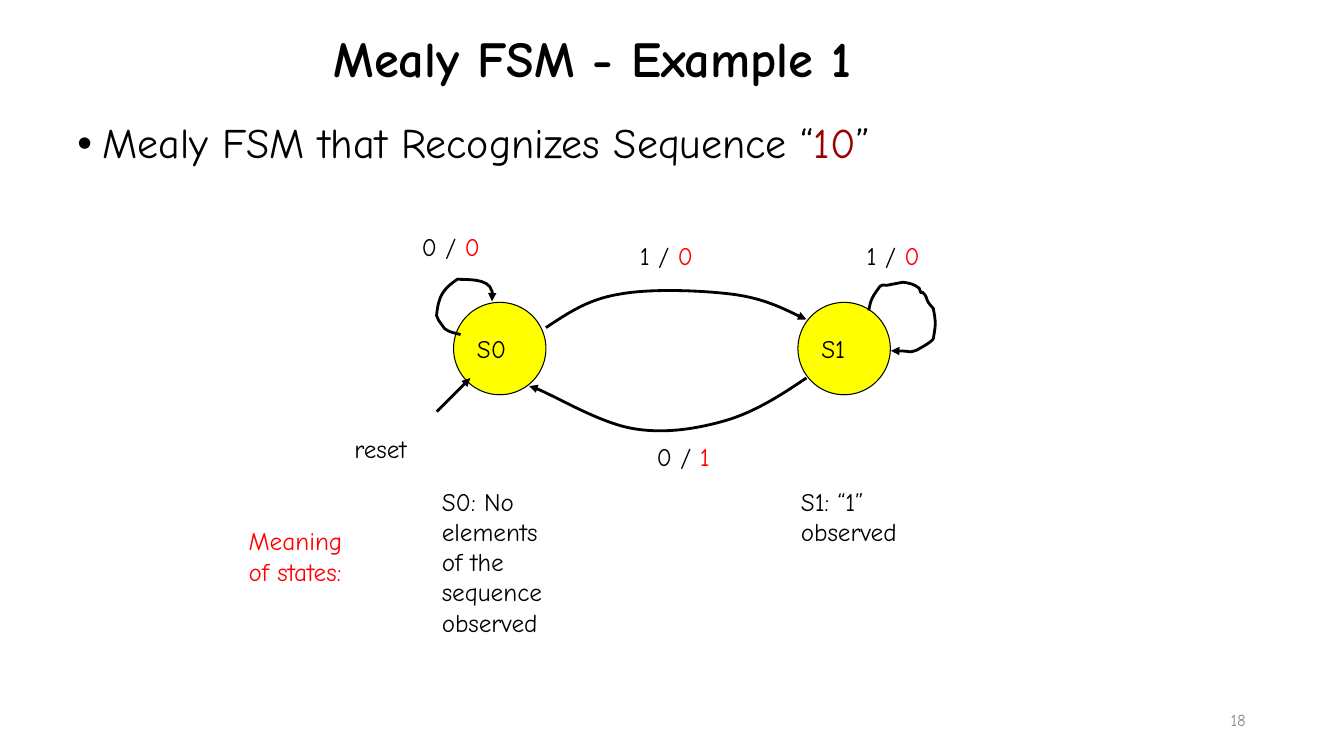
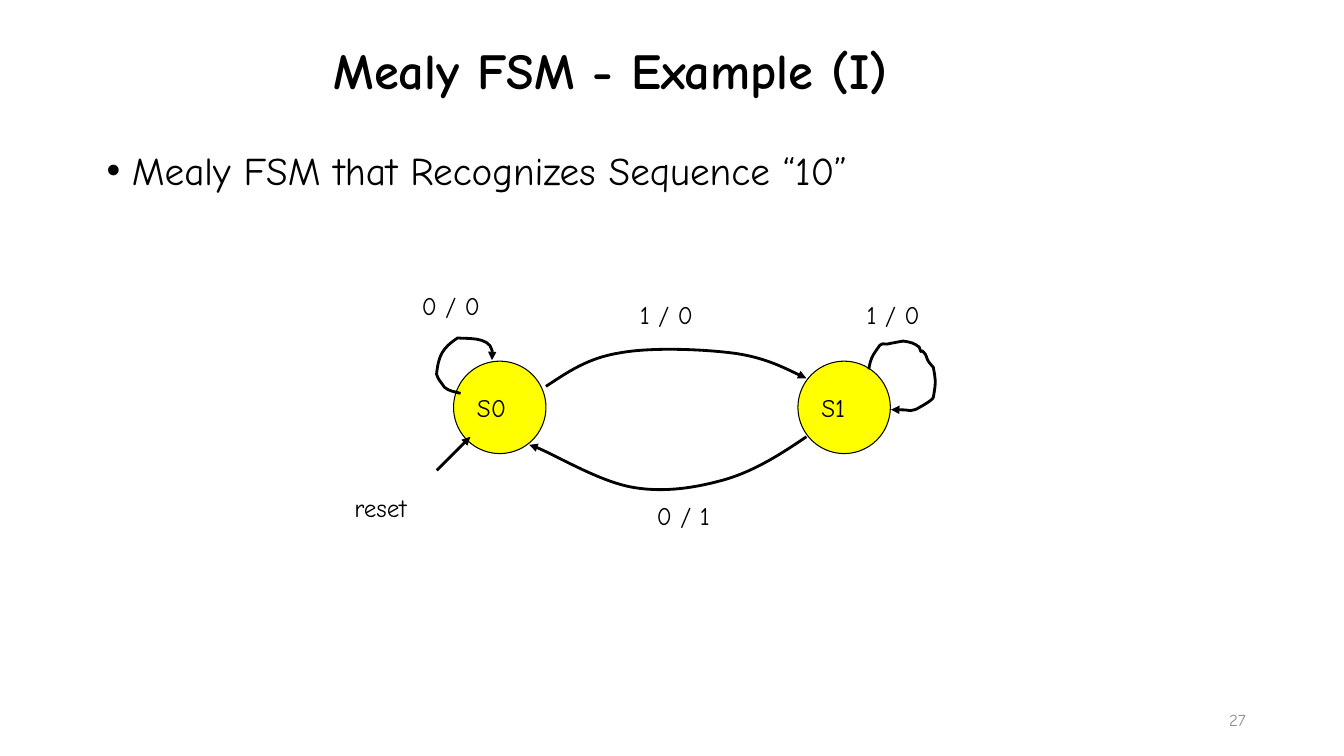
from dataclasses import dataclass

from lxml import etree
from pptx import Presentation
from pptx import util as u
from pptx.dml import color
from pptx.enum import shapes, text
from pptx.oxml import ns

FONT = "Comic Neue"
BLACK, RED, MAROON, YELLOW, GREY = "000000", "FF0000", "990000", "FFFF00", "8C8C8C"
STATE_SIZE = 66
LINE_HEIGHT = 21.9
INSETS = 7.2


@dataclass(frozen=True)
class Span:
    text: str
    color: str = BLACK


@dataclass(frozen=True)
class Frame:
    left: float
    top: float
    width: float
    height: float


@dataclass(frozen=True)
class State:
    name: str
    left: float
    top: float = 216


@dataclass(frozen=True)
class Transition:
    signal: str
    output: str
    label_left: float
    label_top: float
    points: tuple[tuple[float, float], ...]
    label_width: float = 54


@dataclass(frozen=True)
class Note:
    lines: tuple[str, ...]
    left: float
    top: float
    width: float
    color: str = BLACK


@dataclass(frozen=True)
class Page:
    title: str
    title_frame: Frame
    bullet: tuple[Span, ...]
    bullet_frame: Frame
    bullet_size: float
    number: str
    output_color: str = BLACK
    shift: float = 0
    notes: tuple[Note, ...] = ()


STATES = (State("S0", 324), State("S1", 570))

TRANSITIONS = (
    Transition("0", "0", 294, 162, (
        (329, 239), (324, 237.6), (321.1, 237.6), (317.5, 234.7),
        (312.5, 227.5), (313.9, 230.4), (311.8, 225.4),
        (313.2, 211.7), (316.1, 206.6), (326.9, 199.4),
        (331.9, 200.2), (349.2, 198), (351.4, 208.1),
        (351.9, 210.2), (351.4, 213.1), (351.4, 215.3)), 57),
    Transition("1", "0", 450, 168, (
        (390, 234), (405.4, 223.9), (419.8, 213.8), (442.1, 210.2),
        (464.4, 205.9), (501.1, 207.4), (523.4, 210.2),
        (545.8, 213.1), (565.2, 223.2), (576, 228.2))),
    Transition("1", "0", 612, 168, (
        (620.6, 221.8), (622.1, 213.1), (623.5, 211.7), (628.6, 204.5),
        (629.3, 203), (631.4, 203.8), (633.6, 203.8),
        (637.2, 203), (645.1, 201.6), (645.1, 201.6),
        (650.2, 202.3), (653, 203), (656.6, 205.9),
        (659.5, 213.8), (655.9, 204.5), (661, 211),
        (661.7, 211.7), (661.7, 213.1), (662.4, 214.6),
        (663.1, 216.7), (666.7, 220.3), (666.7, 220.3),
        (668.2, 229), (668.9, 229.7), (666.7, 241.9),
        (666, 244.1), (656.6, 249.1), (656.6, 249.1),
        (655.2, 250.6), (650.2, 251.3), (650.2, 251.3),
        (645.8, 250.6), (636.5, 250.6), (636.5, 250.6))),
    Transition("0", "1", 462, 312, (
        (576, 270), (558, 282.2), (540, 293.8), (519.1, 300.2),
        (499, 306), (475.2, 310.3), (451.4, 306),
        (427.7, 301.7), (388.1, 277.9), (378, 275.8))),
)

PAGES = (
    Page("Mealy FSM - Example 1", Frame(231, 0, 700, 87),
         (Span("Mealy FSM that Recognizes Sequence “"), Span("10", MAROON), Span("”")),
         Frame(48, 84, 660, 396), 30, "18", output_color=RED,
         notes=(Note(("Meaning", "of states:"), 170.5, 372, 99, RED),
                Note(("S0: No", "elements", "of the", "sequence", "observed"), 308.5, 343.6, 96),
                Note(("S1: “1”", "observed"), 565, 343.6, 92))),
    Page("Mealy FSM - Example (I)", Frame(231, 0, 700, 104.4),
         (Span("Mealy FSM that Recognizes Sequence “10”"),),
         Frame(69, 104.4, 828, 343), 28, "27", shift=42),
)


def rgb(value: str) -> color.RGBColor:
    return color.RGBColor.from_string(value)


def place(shape, frame: Frame) -> None:
    shape.left, shape.top = u.Pt(frame.left), u.Pt(frame.top)
    shape.width, shape.height = u.Pt(frame.width), u.Pt(frame.height)


def write(box, lines, *, size=18, bold=False, wrap=True, fit=False, spacing=1.0,
          align=text.PP_ALIGN.LEFT, anchor=text.MSO_ANCHOR.TOP, bullet=None) -> None:
    frame = box.text_frame
    frame.word_wrap = wrap
    frame.auto_size = text.MSO_AUTO_SIZE.SHAPE_TO_FIT_TEXT if fit else text.MSO_AUTO_SIZE.NONE
    frame.vertical_anchor = anchor
    for index, spans in enumerate(lines):
        para = frame.add_paragraph() if index else frame.paragraphs[0]
        para.alignment = align
        para.line_spacing = spacing
        para.space_before = u.Pt(0)
        if bullet:
            properties = para._p.get_or_add_pPr()
            properties.set("marL", str(u.Pt(18)))
            properties.set("indent", str(u.Pt(-18)))
            etree.SubElement(properties, ns.qn("a:buFont"), typeface="Arial")
            etree.SubElement(properties, ns.qn("a:buChar"), char=bullet)
        for span in spans:
            run = para.add_run()
            run.text = span.text
            run.font.name = FONT
            run.font.size = u.Pt(size)
            run.font.bold = bold
            run.font.color.rgb = rgb(span.color)


def add_text(slide, frame: Frame, lines, **style) -> None:
    box = slide.shapes.add_textbox(0, 0, 0, 0)
    write(box, lines, **style)
    place(box, frame)


def add_label(slide, left: float, top: float, width: float, lines) -> None:
    frame = Frame(left, top, width, LINE_HEIGHT * len(lines) + INSETS)
    add_text(slide, frame, lines, wrap=False, fit=True)


def style_arrow(line) -> None:
    line.color.rgb = rgb(BLACK)
    line.width = u.Pt(2)
    etree.SubElement(line._get_or_add_ln(), ns.qn("a:tailEnd"), type="triangle")


def bend_segments(curve) -> None:
    segments = list(curve._element.iter(ns.qn("a:lnTo")))
    for first in range(0, len(segments), 3):
        bend = etree.Element(ns.qn("a:cubicBezTo"))
        segments[first].addprevious(bend)
        for segment in segments[first:first + 3]:
            bend.append(segment[0])
            segment.getparent().remove(segment)


def add_state(slide, state: State, shift: float) -> None:
    circle = slide.shapes.add_shape(
        shapes.MSO_SHAPE.OVAL, u.Pt(state.left), u.Pt(state.top + shift),
        u.Pt(STATE_SIZE), u.Pt(STATE_SIZE))
    circle.shadow.inherit = False
    circle.fill.solid()
    circle.fill.fore_color.rgb = rgb(YELLOW)
    circle.line.color.rgb = rgb(BLACK)
    circle.line.width = u.Pt(0.75)
    write(circle, [[Span(state.name)]], wrap=False, anchor=text.MSO_ANCHOR.MIDDLE)


def add_transition(slide, transition: Transition, shift: float, output_color: str) -> None:
    start, *rest = [(u.Pt(x), u.Pt(y + shift)) for x, y in transition.points]
    builder = slide.shapes.build_freeform(*start)
    builder.add_line_segments(rest, close=False)
    curve = builder.convert_to_shape()
    bend_segments(curve)
    curve.shadow.inherit = False
    curve.fill.background()
    style_arrow(curve.line)
    spans = [Span(f"{transition.signal} / "), Span(transition.output, output_color)]
    if output_color == BLACK:
        spans = [Span("".join(span.text for span in spans))]
    add_label(slide, transition.label_left, transition.label_top + shift,
              transition.label_width, [spans])


def add_reset(slide, shift: float) -> None:
    arrow = slide.shapes.add_connector(
        shapes.MSO_CONNECTOR.STRAIGHT, u.Pt(312), u.Pt(294 + shift), u.Pt(336), u.Pt(270 + shift))
    style_arrow(arrow.line)
    etree.SubElement(arrow._element.spPr, ns.qn("a:effectLst"))
    add_label(slide, 246, 306 + shift, 60, [[Span("reset")]])


def add_page(deck, page: Page) -> None:
    slide = deck.slides.add_slide(deck.slide_layouts[1])
    title, body = slide.shapes.title, slide.placeholders[1]
    place(title, page.title_frame)
    write(title, [[Span(page.title)]], size=36, bold=True, spacing=0.9,
          anchor=text.MSO_ANCHOR.MIDDLE)
    place(body, page.bullet_frame)
    write(body, [page.bullet], size=page.bullet_size, spacing=0.9, bullet="•")
    for state in STATES:
        add_state(slide, state, page.shift)
    for transition in TRANSITIONS:
        add_transition(slide, transition, page.shift, page.output_color)
    add_reset(slide, page.shift)
    for note in page.notes:
        add_label(slide, note.left, note.top, note.width,
                  [[Span(line, note.color)] for line in note.lines])
    add_text(slide, Frame(681, 499.5, 216, 28.75), [[Span(page.number, GREY)]], size=12,
             align=text.PP_ALIGN.RIGHT, anchor=text.MSO_ANCHOR.MIDDLE)


def main() -> None:
    deck = Presentation()
    deck.slide_width, deck.slide_height = u.Pt(960), u.Pt(540)
    for page in PAGES:
        add_page(deck, page)
    deck.save("out.pptx")


if __name__ == "__main__":
    main()
